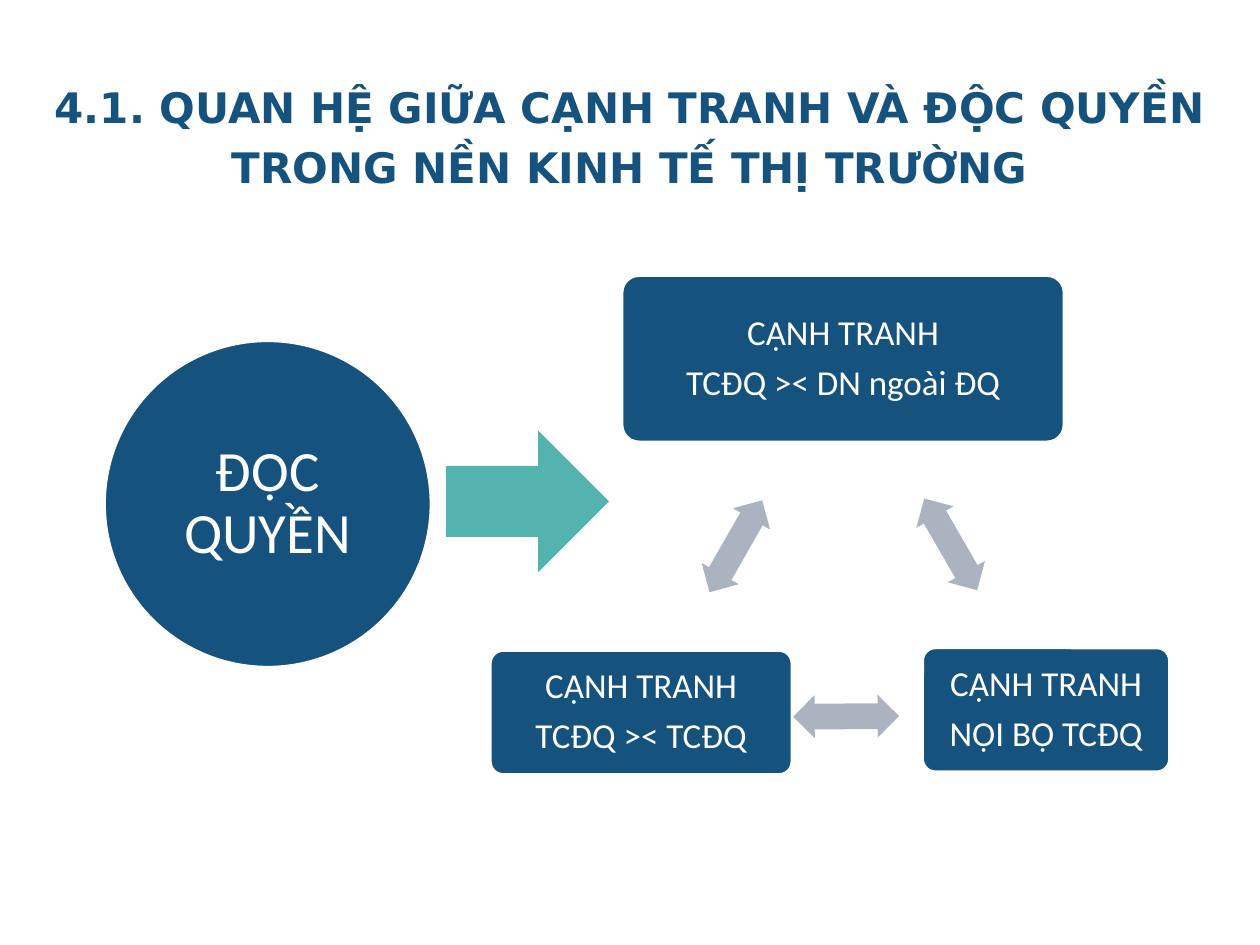
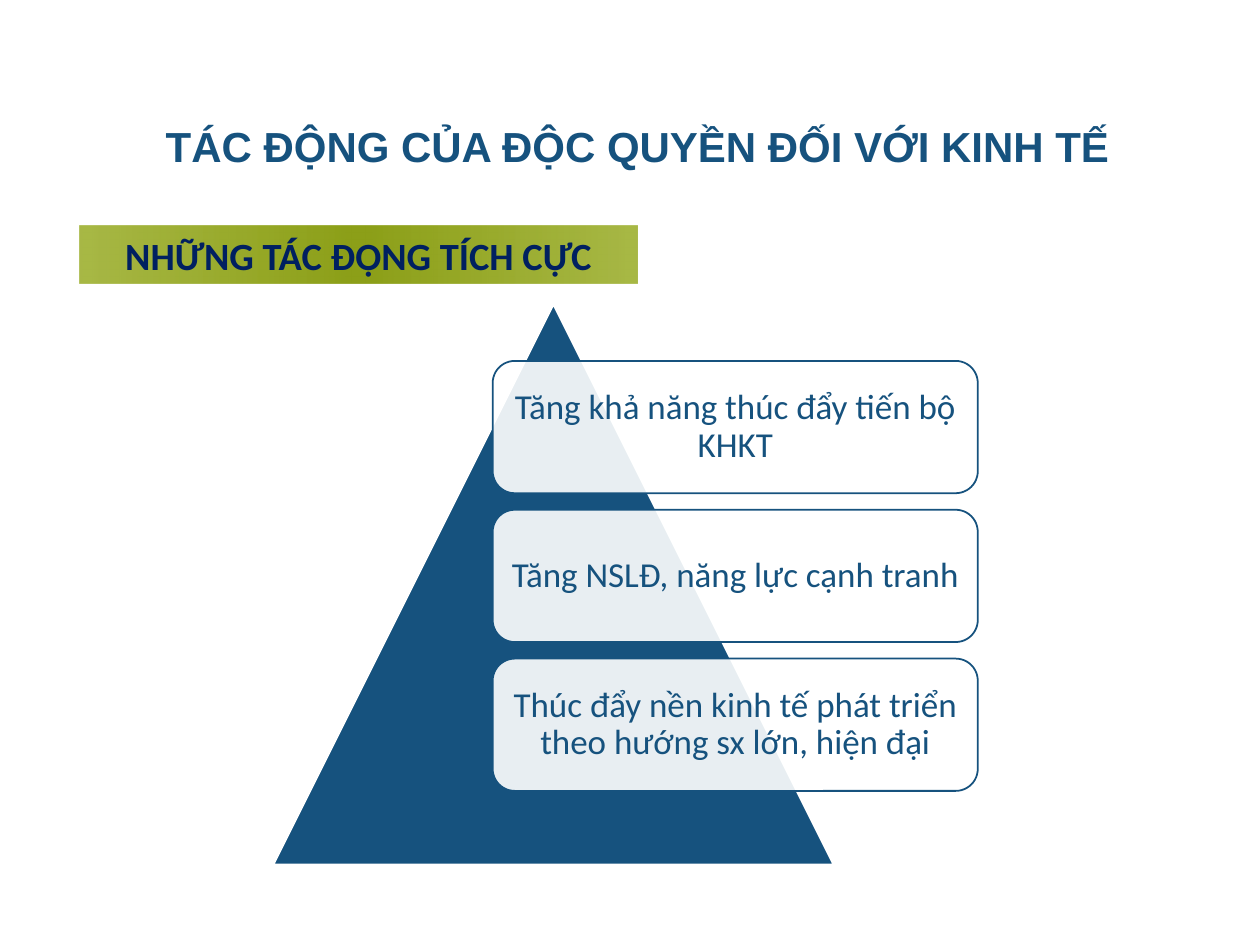
from copy import deepcopy
from dataclasses import dataclass
from lxml.etree import SubElement
from pptx import Presentation
from pptx.dml.color import RGBColor as RGB
from pptx.enum.shapes import MSO_SHAPE as Preset
from pptx.enum.text import MSO_ANCHOR as Anchor, PP_ALIGN as Align
from pptx.oxml.ns import qn
from pptx.util import Pt


@dataclass(frozen=True)
class Theme:
    """Colours, fonts and type sizes shared by the slides."""
    navy: RGB = RGB(0x16, 0x52, 0x7E)
    teal: RGB = RGB(0x52, 0xB3, 0xAF)
    grey: RGB = RGB(0xAC, 0xB3, 0xC0)
    white: RGB = RGB(0xFF, 0xFF, 0xFF)
    ink: RGB = RGB(0x00, 0x20, 0x60)
    olive: RGB = RGB(0x93, 0xA7, 0x19)
    olive_deep: RGB = RGB(0x8C, 0x9F, 0x18)
    body_font: str = "Calibri"
    title_size: int = 48
    banner_size: int = 44
    body_size: int = 40
    hub_size: int = 65
    outline: int = 2


THEME = Theme()


def write(shape, lines, size, colour, font=THEME.body_font, bold=False,
          spacing=None, after=None, inset=(7.2, 3.6), anchor=Anchor.MIDDLE, wrap=True):
    """Fill a shape with centred paragraphs in one style."""
    frame = shape.text_frame
    frame.text = "\n".join(lines)
    frame.word_wrap = wrap
    frame.vertical_anchor = anchor
    frame.margin_left = frame.margin_right = Pt(inset[0])
    frame.margin_top = frame.margin_bottom = Pt(inset[1])
    for paragraph in frame.paragraphs:
        paragraph.alignment = Align.CENTER
        if spacing:
            paragraph.line_spacing = spacing
        if after:
            paragraph.space_after = Pt(after)
        for run in paragraph.runs:
            run.font.name, run.font.size, run.font.bold = font, Pt(size), bold
            run.font.color.rgb = colour


def set_alpha(element, percent):
    """Make every plain colour inside an element partly transparent."""
    for colour in element.iter(qn("a:srgbClr")):
        SubElement(colour, qn("a:alpha"), val=str(percent * 1000))


def draw(slide, preset, box, fill=None, line=None):
    """Add a flat preset shape in a left, top, width, height box."""
    shape = slide.shapes.add_shape(preset, *map(Pt, box))
    shape.shadow.inherit = False
    if fill is not None:
        shape.fill.solid()
        shape.fill.fore_color.rgb = fill
    if line is None:
        shape.line.fill.background()
    else:
        shape.line.color.rgb = line
        shape.line.width = Pt(THEME.outline)
    return shape


def add_title(slide, box, lines, font, **style):
    """Place a bold centred slide title."""
    title = slide.shapes.add_textbox(*map(Pt, box))
    write(title, lines, THEME.title_size, THEME.navy, font, True, **style)


def add_hub(slide, box, label):
    """Place the monopoly circle."""
    hub = draw(slide, Preset.OVAL, box, THEME.navy, THEME.white)
    write(hub, [label], THEME.hub_size, THEME.white, spacing=0.9, inset=(6.5, 6.5))


def add_competition_cycle(slide, box):
    """Place three kinds of competition joined by two-way arrows."""
    left, top, width, height = box
    card_height = 140.5
    kinds = [
        ((150.5, 0, 504, 189), "TCĐQ >< DN ngoài ĐQ"),
        ((width - 281, height - card_height - 3, 281, card_height), "NỘI BỘ TCĐQ"),
        ((0, height - card_height, 343.5, card_height), "TCĐQ >< TCĐQ"),
    ]
    for (x, y, card_width, tall), kind in kinds:
        card = draw(slide, Preset.ROUNDED_RECTANGLE,
                    (left + x, top + y, card_width, tall), THEME.navy, THEME.white)
        card.adjustments[0] = 0.1
        write(card, ["CẠNH TRANH", kind], THEME.body_size, THEME.white,
              spacing=0.9, after=14, inset=(12, 12))
    long, thick = 121, 49
    for x, y, turn in ((525.5, 306.6, 60), (406, 503.2, 179.6), (280, 308.8, 299.8)):
        arrow = draw(slide, Preset.LEFT_RIGHT_ARROW,
                     (left + x - long / 2, top + y - thick / 2, long, thick), THEME.grey)
        arrow.adjustments[0], arrow.adjustments[1] = 0.6, 0.5
        arrow.rotation = turn


def add_banner(slide, box, label):
    """Place the olive gradient heading."""
    banner = draw(slide, Preset.RECTANGLE, box)
    banner.fill.gradient()
    banner.fill.gradient_angle = 0
    stops = banner.element.spPr.find(".//" + qn("a:gsLst"))
    stops.append(deepcopy(stops[0]))
    shades = (THEME.olive, THEME.olive_deep, THEME.olive)
    for index, (stop, shade) in enumerate(zip(banner.fill.gradient_stops, shades)):
        stop.position = index / 2
        stop.color.rgb = shade
    for edge in (stops[0], stops[2]):
        set_alpha(edge, 80)
    set_alpha(stops[1], 100)
    write(banner, [label], THEME.banner_size, THEME.ink, bold=True, wrap=False)


def add_pyramid_list(slide, box, effects):
    """Place a triangle with a column of effects along the right of the box."""
    left, top, width, side = box
    draw(slide, Preset.ISOSCELES_TRIANGLE, (left, top, side, side), THEME.navy, THEME.white)
    card_width, card_height = 554.4, 151.2
    pitch = card_height * 9 / 8
    for row, effect in enumerate(effects):
        card = draw(slide, Preset.ROUNDED_RECTANGLE,
                    (left + width - card_width, top + 64.5 + row * pitch,
                     card_width, card_height), THEME.white, THEME.navy)
        set_alpha(card.element.spPr.find(qn("a:solidFill")), 90)
        write(card, [effect], THEME.body_size, THEME.navy, spacing=0.9, inset=(12, 12))


def build_relation_slide(slide):
    """Show how monopoly gives rise to competition."""
    add_competition_cycle(slide, (561, 315.5, 775, 569))
    add_hub(slide, (120, 390, 372, 372), "ĐỘC QUYỀN")
    draw(slide, Preset.RIGHT_ARROW, (510, 492, 186, 162), THEME.teal)
    add_title(slide, (39.6, 78, 1360.8, 180),
              ["4.1. QUAN HỆ GIỮA CẠNH TRANH VÀ ĐỘC QUYỀN", "TRONG NỀN KINH TẾ THỊ TRƯỜNG"],
              "DejaVu Sans", spacing=1.2, anchor=Anchor.TOP)


def build_effects_slide(slide):
    """Show the positive effects of monopoly."""
    add_banner(slide, (91.5, 258, 637, 66), "NHỮNG TÁC ĐỘNG TÍCH CỰC")
    add_title(slide, (156, 129.5, 1146, 74), ["TÁC ĐỘNG CỦA ĐỘC QUYỀN ĐỐI VỚI KINH TẾ"],
              "Arial", inset=(19.2, 9.6))
    add_pyramid_list(slide, (312.5, 348, 805, 640), [
        "Tăng khả năng thúc đẩy tiến bộ KHKT",
        "Tăng NSLĐ, năng lực cạnh tranh",
        "Thúc đẩy nền kinh tế phát triển theo hướng sx lớn, hiện đại",
    ])


def main():
    """Build and save the presentation."""
    deck = Presentation()
    deck.slide_width, deck.slide_height = Pt(1440), Pt(1080)
    for build in (build_relation_slide, build_effects_slide):
        build(deck.slides.add_slide(deck.slide_layouts[6]))
    deck.save("out.pptx")


if __name__ == "__main__":
    main()
